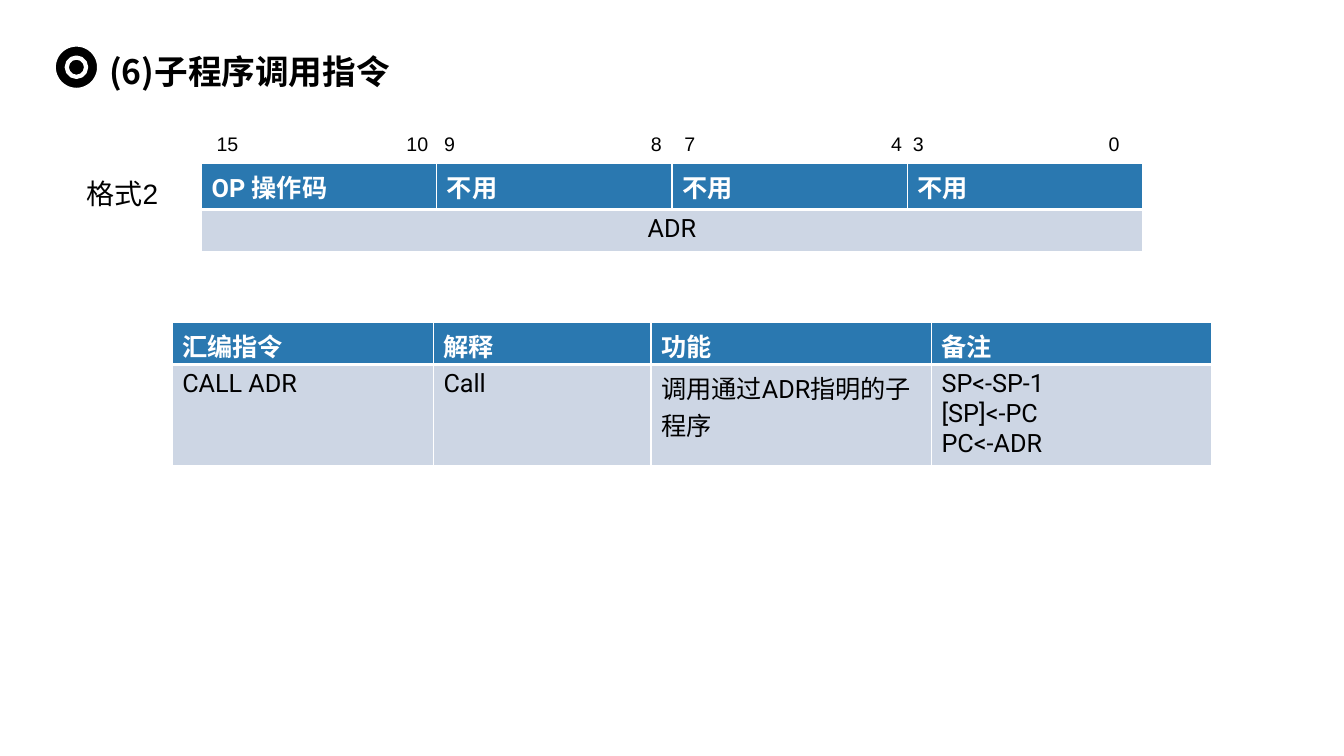
from lxml.etree import SubElement
from pptx import Presentation
from pptx.dml.color import RGBColor
from pptx.enum.shapes import MSO_SHAPE
from pptx.enum.text import MSO_ANCHOR, MSO_AUTO_SIZE, PP_ALIGN
from pptx.oxml import parse_xml
from pptx.oxml.ns import nsdecls, qn
from pptx.util import Inches, Pt

BLACK = RGBColor(0x00, 0x00, 0x00)
WHITE = RGBColor(0xFF, 0xFF, 0xFF)
HEADER_BLUE = RGBColor(0x2A, 0x78, 0xB0)
BODY_GREY = RGBColor(0xCD, 0xD6, 0xE4)
CHINESE_FONT = "Noto Sans CJK SC"
LABEL_FONT = "Arial"
TABLE_FONT = "Roboto"
COLUMNS, ROWS = 16, 9


class InstructionPage:
    """Draws on one slide; all lengths are columns and rows of a 16 by 9 grid."""

    def __init__(self, deck):
        self.column = deck.slide_width / COLUMNS
        self.row = deck.slide_height / ROWS
        self.page = deck.slides.add_slide(deck.slide_layouts[5])

    def place(self, left, top, width, height):
        return (round(left * self.column), round(top * self.row),
                round(width * self.column), round(height * self.row))

    def style(self, paragraph, name, size, color=BLACK, bold=False):
        font = paragraph.font
        font.name, font.size, font.bold = name, Pt(size), bold
        font.color.rgb = color
        east_asian = SubElement(paragraph._p.pPr.find(qn("a:defRPr")), qn("a:ea"))
        east_asian.set("typeface", CHINESE_FONT)

    def title(self, text, *area):
        box = self.page.shapes.title
        box.left, box.top, box.width, box.height = self.place(*area)
        frame = box.text_frame
        frame.text = text
        frame.auto_size = MSO_AUTO_SIZE.NONE
        frame.vertical_anchor = MSO_ANCHOR.MIDDLE
        paragraph = frame.paragraphs[0]
        paragraph.alignment = PP_ALIGN.LEFT
        paragraph.line_spacing = 1.2
        self.style(paragraph, CHINESE_FONT, 24, bold=True)

    def rings(self, center_x, center_y, diameters):
        group = self.page.shapes.add_group_shape()
        for size in diameters:
            area = self.place(center_x - size / 2, center_y - size / 2, size, size)
            disc = group.shapes.add_shape(MSO_SHAPE.OVAL, *area)
            disc.shadow.inherit = False
            disc.fill.solid()
            disc.fill.fore_color.rgb = BLACK
            disc.line.color.rgb = WHITE
            disc.line.width = Pt(3)

    def label(self, text, size, *area, tabs=()):
        """Add a text box; tabs holds (position, alignment) pairs."""
        frame = self.page.shapes.add_textbox(*self.place(*area)).text_frame
        frame.word_wrap = True
        paragraph = frame.paragraphs[0]
        paragraph.text = text
        paragraph.line_spacing = 1.3
        if tabs:
            tab_list = SubElement(paragraph._p.get_or_add_pPr(), qn("a:tabLst"))
            for position, alignment in tabs:
                tab = SubElement(tab_list, qn("a:tab"))
                tab.set("pos", str(round(position * self.column)))
                tab.set("algn", alignment)
        self.style(paragraph, LABEL_FONT, size)

    def borders(self, cell, bottom):
        properties = cell._tc.get_or_add_tcPr()
        sides = (("L", 1), ("R", 1), ("T", 1), ("B", bottom))
        for index, (side, points) in enumerate(sides):
            properties.insert(index, parse_xml(
                f'<a:ln{side} {nsdecls("a")} w="{Pt(points)}"><a:solidFill>'
                f'<a:srgbClr val="{WHITE}"/></a:solidFill></a:ln{side}>'))

    def table(self, left, top, widths, heights, content):
        """Add a table; a body row with one entry spans all columns."""
        area = self.place(left, top, sum(widths), sum(heights))
        table = self.page.shapes.add_table(len(heights), len(widths), *area).table
        for column, width in zip(table.columns, widths):
            column.width = round(width * self.column)
        for row_index, (height, texts) in enumerate(zip(heights, content)):
            row = table.rows[row_index]
            row.height = round(height * self.row)
            header = row_index == 0
            spans = len(texts) == 1
            if spans:
                table.cell(row_index, 0).merge(table.cell(row_index, len(widths) - 1))
            for cell in row.cells:
                cell.fill.solid()
                cell.fill.fore_color.rgb = HEADER_BLUE if header else BODY_GREY
                self.borders(cell, 3 if header else 1)
            for cell, text in zip(row.cells, texts):
                cell.text_frame.text = text
                for paragraph in cell.text_frame.paragraphs:
                    if spans:
                        paragraph.alignment = PP_ALIGN.CENTER
                    self.style(paragraph, TABLE_FONT, 18,
                               WHITE if header else BLACK, header)


def main():
    deck = Presentation()
    deck.slide_width, deck.slide_height = Inches(13.33), Inches(7.5)
    page = InstructionPage(deck)

    page.title("(6)子程序调用指令", 1.18, 0.38, 14.48, 0.84)
    page.rings(0.91, 0.8, (0.54, 0.23))

    page.table(2.4, 1.94, [2.8] * 4, [0.5] * 2,
               [["OP 操作码", "不用", "不用", "不用"], ["ADR"]])
    bit_tabs = [(2.52, "r"), (2.71, "l"), (5.3, "r"), (5.57, "l"),
                (8.16, "r"), (8.29, "l"), (10.75, "r")]
    page.label("15\t10\t9\t8\t7\t4\t3\t0", 14, 2.46, 1.43, 11.36, 0.49, tabs=bit_tabs)
    page.label("格式2", 20, 0.91, 1.92, 1.09, 0.65)

    page.table(2.05, 3.84, [3.11, 2.59, 3.34, 3.34], [0.5, 1],
               [["汇编指令", "解释", "功能", "备注"],
                ["CALL ADR", "Call", "调用通过ADR指明的子程序",
                 "SP<-SP-1\n[SP]<-PC\nPC<-ADR"]])
    deck.save("out.pptx")


if __name__ == "__main__":
    main()
